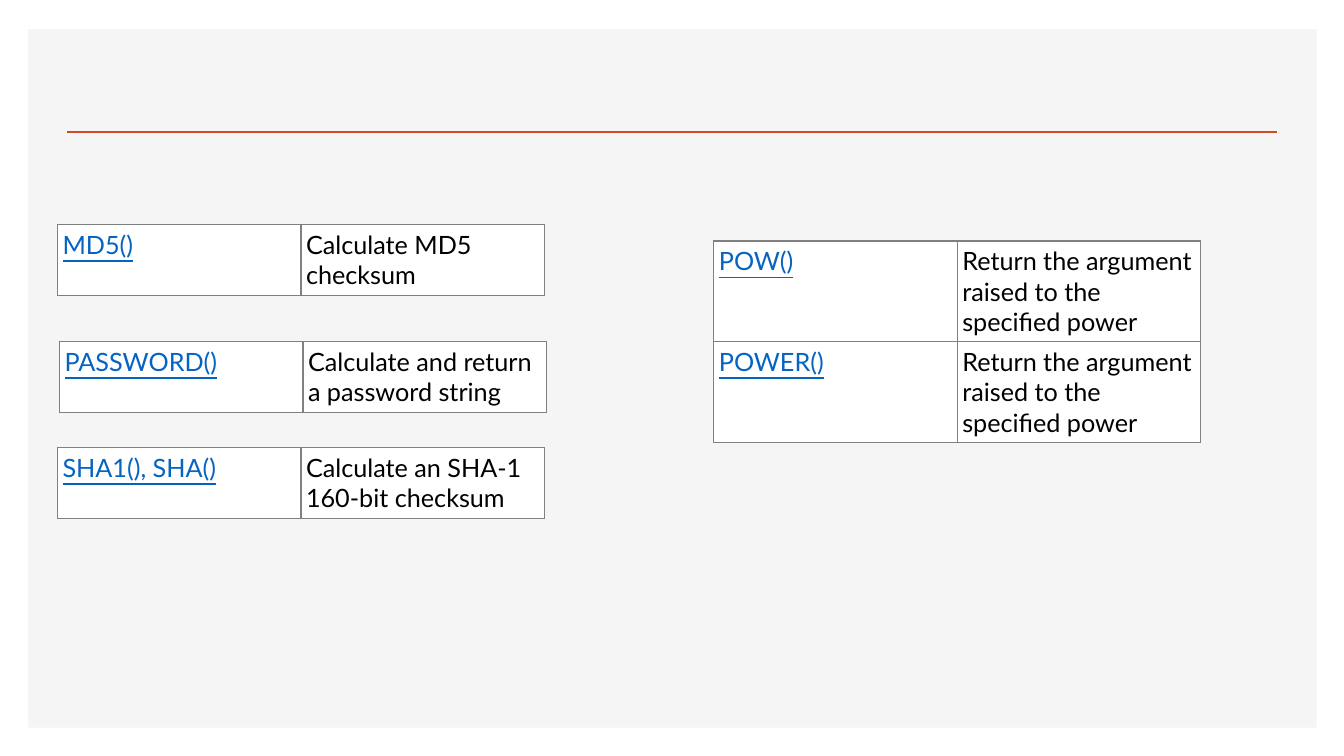
"""Build a slide of small tables describing SQL functions."""
from lxml import etree
from pptx import Presentation
from pptx.dml.color import RGBColor
from pptx.enum.shapes import MSO_CONNECTOR, MSO_SHAPE
from pptx.oxml.ns import qn
from pptx.util import Inches, Pt

RECTANGLE = MSO_SHAPE.RECTANGLE
STRAIGHT = MSO_CONNECTOR.STRAIGHT
PANEL = RGBColor(0xF5, 0xF5, 0xF5)
ACCENT = RGBColor(0xD2, 0x47, 0x26)
BORDER = RGBColor(0x80, 0x80, 0x80)
LINK = RGBColor(0x05, 0x63, 0xC1)
BLACK = RGBColor(0, 0, 0)
WHITE = RGBColor(0xFF, 0xFF, 0xFF)
FONT = "Lato"
COL_WIDTH = 2.415
CELL_MARGIN = Inches(0.05)

POWER_TEXT = "Return the argument raised to the specified power"
TABLES = [
    (0.57, 2.23, 0.7, [("MD5()", "Calculate MD5 checksum")]),
    (0.59, 3.39, 0.7, [("PASSWORD()", "Calculate and return a password string")]),
    (7.08, 2.39, 1.0, [("POW()", POWER_TEXT), ("POWER()", POWER_TEXT)]),
    (0.57, 4.44, 0.7, [("SHA1(), SHA()", "Calculate an SHA-1 160-bit checksum")]),
]


def add_borders(cell):
    """Draw a thin grey line on all four sides of a cell."""
    tc_pr = cell._tc.get_or_add_tcPr()
    for i, side in enumerate(("a:lnL", "a:lnR", "a:lnT", "a:lnB")):
        ln = etree.Element(qn(side), w=str(Pt(1)))
        fill = etree.SubElement(ln, qn("a:solidFill"))
        etree.SubElement(fill, qn("a:srgbClr"), val=str(BORDER))
        tc_pr.insert(i, ln)


def format_cell(cell, text, is_link):
    """Fill a cell with text, as a function name or a description."""
    cell.text_frame.text = text
    cell.margin_left = cell.margin_right = CELL_MARGIN
    cell.margin_top = cell.margin_bottom = CELL_MARGIN
    cell.fill.solid()
    cell.fill.fore_color.rgb = WHITE
    font = cell.text_frame.paragraphs[0].runs[0].font
    font.name = FONT
    font.size = Pt(18)
    font.underline = is_link
    font.color.rgb = LINK if is_link else BLACK
    add_borders(cell)


def add_function_table(s, left, top, row_height, rows):
    """Add a two-column table of function names and descriptions."""
    frame = s.shapes.add_table(len(rows), 2, Inches(left), Inches(top),
                               Inches(2 * COL_WIDTH), Inches(row_height * len(rows)))
    table = frame.table
    table.first_row = table.horz_banding = False
    for r, row in enumerate(rows):
        for c, text in enumerate(row):
            format_cell(table.cell(r, c), text, c == 0)


def add_backdrop(s):
    """Add the grey panel and the accent rule."""
    panel = s.shapes.add_shape(RECTANGLE, Inches(0.28), Inches(0.29),
                               Inches(12.78), Inches(6.93))
    panel.shadow.inherit = False
    panel.fill.solid()
    panel.fill.fore_color.rgb = PANEL
    panel.line.fill.background()
    rule = s.shapes.add_connector(STRAIGHT, Inches(0.66), Inches(1.31),
                                  Inches(12.67), Inches(1.31))
    rule.line.color.rgb = ACCENT
    rule.line.width = Pt(2)
    etree.SubElement(rule._element.spPr, qn("a:effectLst"))


def main():
    """Build and save the slide."""
    prs = Presentation()
    prs.slide_width, prs.slide_height = Inches(13.33), Inches(7.5)
    s = prs.slides.add_slide(prs.slide_layouts[6])
    add_backdrop(s)
    for spot in TABLES:
        add_function_table(s, *spot)
    prs.save("out.pptx")


if __name__ == "__main__":
    main()
